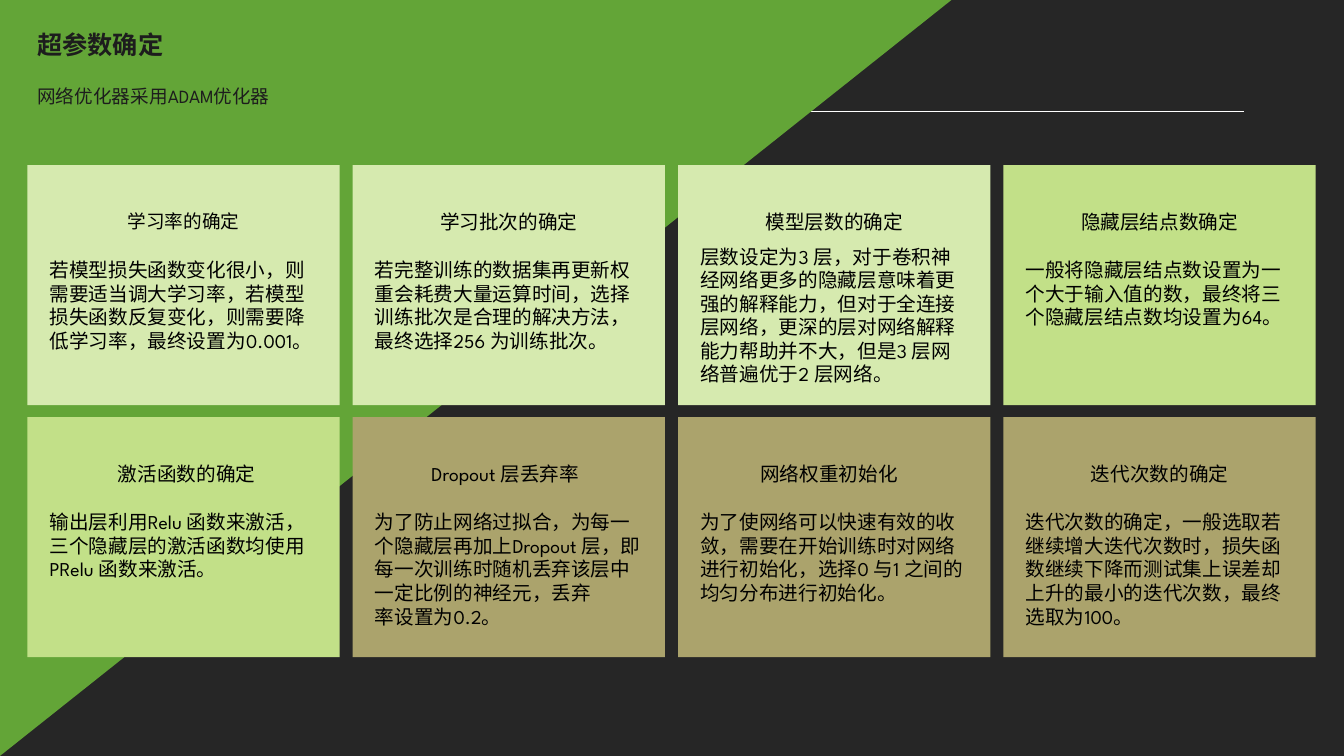
from lxml import etree
from pptx import Presentation
from pptx.dml.color import RGBColor
from pptx.enum.shapes import MSO_CONNECTOR, MSO_SHAPE
from pptx.enum.text import MSO_ANCHOR, MSO_AUTO_SIZE, PP_ALIGN
from pptx.oxml.ns import qn
from pptx.util import Cm, Pt

STRAIGHT = MSO_CONNECTOR.STRAIGHT
TRIANGLE, RECTANGLE = MSO_SHAPE.RIGHT_TRIANGLE, MSO_SHAPE.RECTANGLE
TOP, NO_FIT = MSO_ANCHOR.TOP, MSO_AUTO_SIZE.NONE
LEFT, CENTER = PP_ALIGN.LEFT, PP_ALIGN.CENTER
FONT = "League Spartan"
PALE, LIME, OLIVE = "D6EAAF", "C2E088", "ABA36C"


def paint(target, colour):
    """Give a shape a plain fill without outline or shadow."""
    target.shadow.inherit = False
    target.fill.solid()
    target.fill.fore_color.rgb = RGBColor.from_string(colour)
    target.line.fill.background()


def write(box, paragraphs, size, colour="000000", align=LEFT, spacing=1.0,
          bold=False, margins=(0.25, 0.13)):
    """Fill a text box or placeholder, one run per paragraph."""
    frame = box.text_frame
    frame.word_wrap = True
    frame.auto_size = NO_FIT
    frame.vertical_anchor = TOP
    frame.margin_left = frame.margin_right = Cm(margins[0])
    frame.margin_top = frame.margin_bottom = Cm(margins[1])
    for index, text in enumerate(paragraphs):
        para = frame.add_paragraph() if index else frame.paragraphs[0]
        para.alignment = align
        para.line_spacing = spacing
        para.space_before = Pt(0)
        span = para.add_run()
        span.text = text
        span.font.name = FONT
        span.font.size = Pt(size)
        span.font.bold = bold
        span.font.color.rgb = RGBColor.from_string(colour)


deck = Presentation()
deck.slide_width, deck.slide_height = Cm(33.87), Cm(19.05)
page = deck.slides.add_slide(deck.slide_layouts[5])
page.background.fill.solid()
page.background.fill.fore_color.rgb = RGBColor.from_string("262626")

# White rule, partly covered by the green triangle
rule = page.shapes.add_connector(STRAIGHT, Cm(3.35), Cm(2.81), Cm(31.36), Cm(2.81))
rule.line.color.rgb = RGBColor.from_string("FFFFFF")
rule.line.width = Pt(1)
etree.SubElement(rule.element.spPr, qn("a:effectLst"))

triangle = page.shapes.add_shape(TRIANGLE, 0, 0, Cm(23.98), Cm(19.05))
triangle.element.spPr.find(qn("a:xfrm")).set("flipV", "1")
paint(triangle, "63A537")

# Title, raised above the triangle, and subtitle
title = page.shapes.title
title.element.getparent().append(title.element)
title.left, title.top, title.width, title.height = Cm(0.69), Cm(0.61), Cm(15.62), Cm(1.02)
write(title, ["超参数确定"], 18, "1D1D1D", bold=True)
subtitle = page.shapes.add_textbox(Cm(0.69), Cm(1.85), Cm(18.54), Cm(1))
write(subtitle, ["网络优化器采用ADAM优化器"], 13.3, "1D1D1D", spacing=1.3)

# Cards: fill, heading, heading size, heading shift (cm), body top in card (cm), body
cards = [
    (PALE, "学习率的确定", 13.3, 0, 2.18,
     ["若模型损失函数变化很小，则需要适当调大学习率，若模型损失函数反复变化，"
      "则需要降低学习率，最终设置为0.001。"]),
    (PALE, "学习批次的确定", 14, 0, 2.18,
     ["若完整训练的数据集再更新权重会耗费大量运算时间，选择训练批次是合理的解决方法，"
      "最终选择256 为训练批次。"]),
    (PALE, "模型层数的确定", 14, 0, 1.83,
     ["层数设定为3 层，对于卷积神经网络更多的隐藏层意味着更强的解释能力，"
      "但对于全连接层网络，更深的层对网络解释能力帮助并不大，"
      "但是3 层网络普遍优于2 层网络。"]),
    (LIME, "隐藏层结点数确定", 14, 0, 2.18,
     ["一般将隐藏层结点数设置为一个大于输入值的数，最终将三个隐藏层结点数均设置为64。"]),
    (LIME, "激活函数的确定", 14, 0.08, 2.18,
     ["输出层利用Relu 函数来激活，三个隐藏层的激活函数均使用PRelu 函数来激活。"]),
    (OLIVE, "Dropout 层丢弃率", 14, -0.09, 2.18,
     ["为了防止网络过拟合，为每一个隐藏层再加上Dropout 层，"
      "即每一次训练时随机丢弃该层中一定比例的神经元，丢弃",
      "率设置为0.2。"]),
    (OLIVE, "网络权重初始化", 14, -0.13, 2.18,
     ["为了使网络可以快速有效的收敛，需要在开始训练时对网络进行初始化，"
      "选择0 与1 之间的均匀分布进行初始化。"]),
    (OLIVE, "迭代次数的确定", 14, 0, 2.18,
     ["迭代次数的确定，一般选取若继续增大迭代次数时，"
      "损失函数继续下降而测试集上误差却上升的最小的迭代次数，最终选取为100。"]),
]
COLUMNS = 4
CARD_WIDTH, CARD_HEIGHT = 7.87, 6.05
INSETS = (0.33, 0.17)

for index, (colour, heading, size, shift, body_top, body) in enumerate(cards):
    row, column = divmod(index, COLUMNS)
    left = 0.69 + column * 8.2
    top = 4.16 + row * 6.35
    card = page.shapes.add_shape(RECTANGLE, Cm(left), Cm(top), Cm(CARD_WIDTH), Cm(CARD_HEIGHT))
    paint(card, colour)
    heading_box = page.shapes.add_textbox(
        Cm(left + shift), Cm(top + 0.79), Cm(CARD_WIDTH), Cm(1.04))
    write(heading_box, [heading], size, align=CENTER, spacing=1.3, margins=INSETS)
    body_box = page.shapes.add_textbox(
        Cm(left + 0.23), Cm(top + body_top), Cm(7.44), Cm(CARD_HEIGHT - body_top - 0.28))
    write(body_box, body, 14, margins=INSETS)

deck.save("out.pptx")
